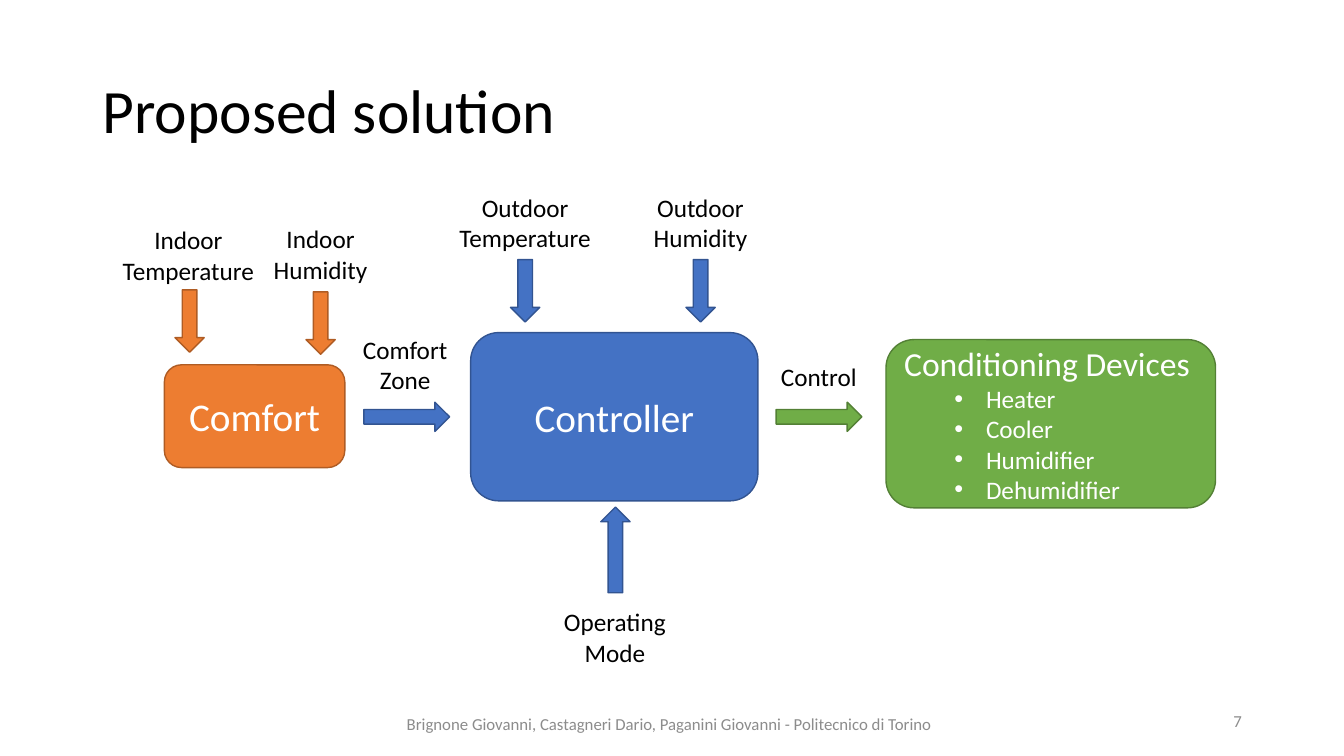
from lxml import etree
from pptx import Presentation
from pptx import util as u
from pptx.dml.color import RGBColor
from pptx.enum import shapes, text
from pptx.oxml.ns import qn

Pt = u.Pt
LEFT, CENTER, RIGHT = text.PP_ALIGN.LEFT, text.PP_ALIGN.CENTER, text.PP_ALIGN.RIGHT
ROUNDED = shapes.MSO_SHAPE.ROUNDED_RECTANGLE
ARROW = shapes.MSO_SHAPE.RIGHT_ARROW
BLUE, ORANGE, GREEN = ("4472C4", "325491"), ("ED7D31", "AF5C24"), ("70AD47", "538035")
BLACK, WHITE, GRAY = "000000", "FFFFFF", "8C8C8C"


def write(frame, lines, size, color, align):
    frame.word_wrap = True
    frame.text = "\n".join(lines)
    for line in frame.paragraphs:
        line.alignment = align
        line.font.size = Pt(size)
        line.font.name = "Calibri"
        line.font.color.rgb = RGBColor.from_string(color)


def draw(kind, left, top, width, height, colors):
    drawn = slide.shapes.add_shape(kind, Pt(left), Pt(top), Pt(width), Pt(height))
    drawn.shadow.inherit = False
    drawn.fill.solid()
    drawn.fill.fore_color.rgb = RGBColor.from_string(colors[0])
    drawn.line.color.rgb = RGBColor.from_string(colors[1])
    drawn.line.width = Pt(1)
    drawn.text_frame.vertical_anchor = text.MSO_ANCHOR.MIDDLE
    return drawn


deck = Presentation()
deck.slide_width, deck.slide_height = Pt(960), Pt(540)
slide = deck.slides.add_slide(deck.slide_layouts[5])

heading = slide.shapes.title
heading.left, heading.top, heading.width, heading.height = Pt(66), Pt(28.8), Pt(828), Pt(104.4)
heading.text_frame.vertical_anchor = text.MSO_ANCHOR.MIDDLE
write(heading.text_frame, ["Proposed solution"], 44, BLACK, LEFT)
heading.text_frame.paragraphs[0].line_spacing = 0.9

for words, left, top, width, align in [
    ("Brignone Giovanni, Castagneri Dario, Paganini Giovanni - Politecnico di Torino",
     259.2, 502.6, 437.8, CENTER),
    ("7", 678.2, 500.4, 216, RIGHT),
]:
    footer = slide.shapes.add_textbox(Pt(left), Pt(top), Pt(width), Pt(28.8))
    footer.text_frame.vertical_anchor = text.MSO_ANCHOR.MIDDLE
    write(footer.text_frame, [words], 12, GRAY, align)

for name, left, top, width, height, colors in [
    ("Comfort", 117.4, 260.6, 128.9, 73.4, ORANGE),
    ("Controller", 336.2, 237.6, 205.2, 120.2, BLUE),
]:
    stage = draw(ROUNDED, left, top, width, height, colors)
    write(stage.text_frame, [name], 28, WHITE, CENTER)

conditioning = draw(ROUNDED, 632.9, 242.6, 235.4, 120.2, GREEN)
devices = conditioning.text_frame
devices.text = "\n".join(["Conditioning Devices", "Heater", "Cooler", "Humidifier", "Dehumidifier"])
for device in devices.paragraphs[1:]:
    device.level = 1
    bullet = device._p.get_or_add_pPr()
    bullet.set("marL", str(Pt(58.5)))
    bullet.set("indent", str(-Pt(22.5)))
    etree.SubElement(bullet, qn("a:buFont")).set("typeface", "Arial")
    etree.SubElement(bullet, qn("a:buChar")).set("char", "•")
for entry in devices.paragraphs:
    entry.alignment = LEFT
    entry.font.size = Pt(18 if entry.level else 24)
    entry.font.name = "Calibri"
    entry.font.color.rgb = RGBColor.from_string(WHITE)

for center, middle, length, turn, colors in [
    (135.4, 229.3, 44.6, 90, ORANGE),
    (229, 230.8, 44.6, 90, ORANGE),
    (375.1, 207.7, 44.6, 90, BLUE),
    (500.4, 207.7, 44.6, 90, BLUE),
    (439.6, 392.8, 61.2, 270, BLUE),
    (290.5, 297.7, 61.2, 0, BLUE),
    (585, 297.7, 61.2, 0, GREEN),
]:
    flow = draw(ARROW, center - length / 2, middle - 10.45, length, 20.9, colors)
    flow.rotation = turn

for lines, left, top, align in [
    (["Indoor", "Temperature"], 26.6, 157, CENTER),
    (["Indoor", "Humidity"], 121, 156.2, CENTER),
    (["Comfort", "Zone"], 181.4, 235.4, CENTER),
    (["Outdoor", "Temperature"], 267.1, 133.9, CENTER),
    (["Outdoor", "Humidity"], 392.4, 133.9, CENTER),
    (["Operating", "Mode"], 331.2, 429.8, CENTER),
    (["Control"], 550.8, 254.2, LEFT),
]:
    signal = slide.shapes.add_textbox(Pt(left), Pt(top), Pt(216), Pt(7.2 + 22 * len(lines)))
    write(signal.text_frame, lines, 18, BLACK, align)
    signal.text_frame.auto_size = text.MSO_AUTO_SIZE.SHAPE_TO_FIT_TEXT

deck.save("out.pptx")
